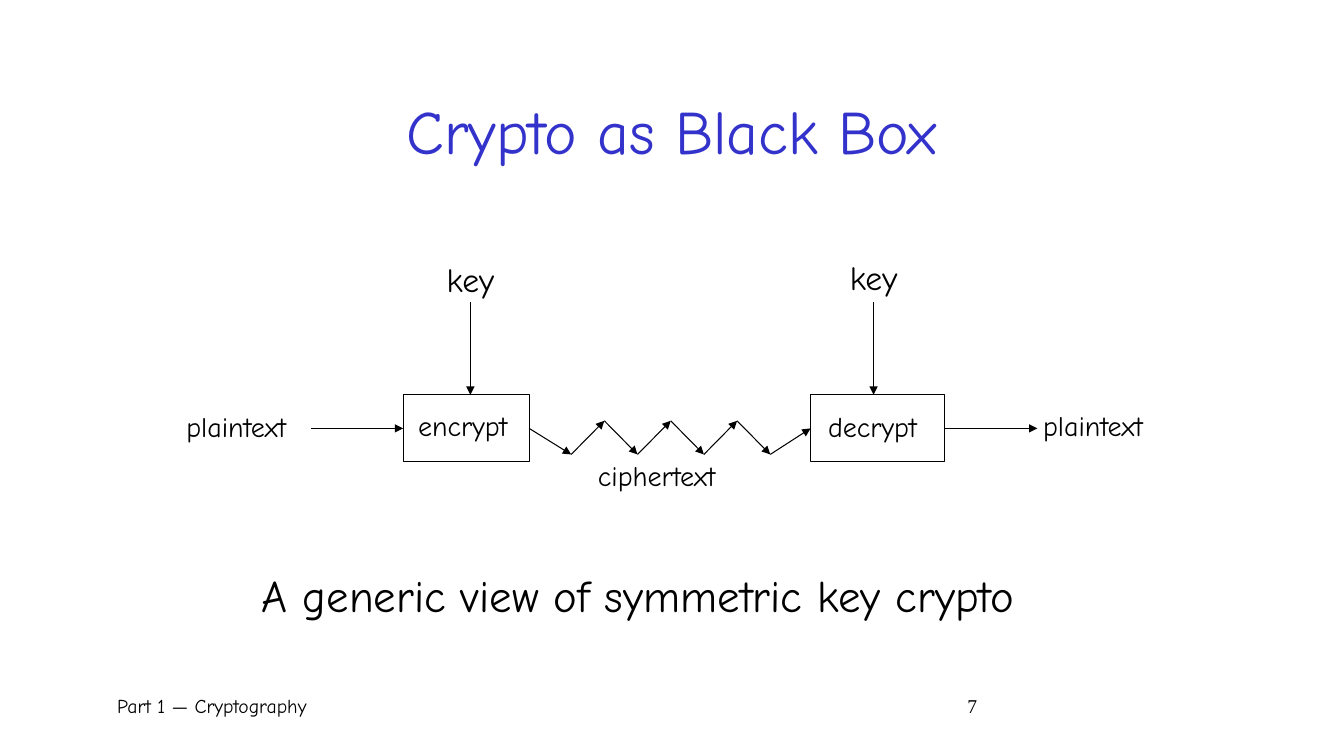
from dataclasses import dataclass
from itertools import pairwise

from lxml import etree
from pptx import Presentation, util as u
from pptx.dml.color import RGBColor
from pptx.enum import shapes, text
from pptx.oxml.ns import qn


@dataclass(frozen=True)
class Theme:
    font: str = "Comic Neue"
    number_font: str = "Times New Roman"
    ink: RGBColor = RGBColor(0, 0, 0)
    heading: RGBColor = RGBColor(0x33, 0x33, 0xCC)
    title: int = 44
    caption: int = 32
    key: int = 24
    label: int = 20
    footer: int = 14
    line: float = 0.75


THEME = Theme()
CELL = u.Inches(1) // 12  # the slide is a grid of 160 columns and 90 rows


def cells(*counts):
    return [u.Emu(round(count * CELL)) for count in counts]


def style_run(run, size, color=THEME.ink, font=THEME.font):
    formats = {"name": font, "size": u.Pt(size)}
    for attribute, value in formats.items():
        setattr(run.font, attribute, value)
    run.font.color.rgb = color


def add_label(slide, area, wording, size, color=THEME.ink,
              align=text.PP_ALIGN.LEFT, anchor=text.MSO_ANCHOR.TOP):
    frame = slide.shapes.add_textbox(*cells(*area)).text_frame
    formats = {"word_wrap": True, "vertical_anchor": anchor}
    for attribute, value in formats.items():
        setattr(frame, attribute, value)
    line = frame.paragraphs[0]
    line.alignment = align
    run = line.add_run()
    run.text = wording
    style_run(run, size, color)
    return line


def add_black_box(slide, area):
    box = slide.shapes.add_shape(shapes.MSO_SHAPE.RECTANGLE, *cells(*area))
    box.shadow.inherit = False
    box.fill.background()
    box.line.color.rgb = THEME.ink
    box.line.width = u.Pt(THEME.line)


def add_arrow(slide, start, end):
    arrow = slide.shapes.add_connector(
        shapes.MSO_CONNECTOR.STRAIGHT, *cells(*start, *end))
    arrow.line.color.rgb = THEME.ink
    arrow.line.width = u.Pt(THEME.line)
    etree.SubElement(arrow.line._get_or_add_ln(), qn("a:tailEnd"), type="triangle")
    etree.SubElement(arrow._element.spPr, qn("a:effectLst"))


def add_footer(slide, area, wording, number, number_column):
    line = add_label(slide, area, wording + "\t", THEME.footer)
    stops = etree.SubElement(line._p.get_or_add_pPr(), qn("a:tabLst"))
    etree.SubElement(stops, qn("a:tab"), pos=str(number_column * CELL), algn="l")
    run = line.add_run()
    run.text = number
    style_run(run, THEME.footer, font=THEME.number_font)


def main():
    deck = Presentation()
    deck.slide_width, deck.slide_height = cells(160, 90)
    slide = deck.slides.add_slide(deck.slide_layouts[6])

    # Title, caption and footer
    add_label(slide, (12, 8, 136, 15), "Crypto as Black Box", THEME.title,
              THEME.heading, text.PP_ALIGN.CENTER, text.MSO_ANCHOR.MIDDLE)
    add_label(slide, (30, 67, 102.5, 7.7),
              "A generic view of symmetric key crypto", THEME.caption)
    add_footer(slide, (12, 82, 137.3, 6), " Part 1 — Cryptography", "7", 102)

    # Black boxes
    flow_row, box_top = 51, 47
    encrypt_left, encrypt_right = 48, 63
    decrypt_left, decrypt_right = 96.5, 112.5
    for left, right in ((encrypt_left, encrypt_right),
                        (decrypt_left, decrypt_right)):
        add_black_box(slide, (left, box_top, right - left, 8))

    # Labels
    for left, top, width, wording, size in (
            (21, 48.1, 17, "plaintext", THEME.label),
            (48.6, 48, 14.5, "encrypt", THEME.label),
            (70, 54, 20, "ciphertext", THEME.label),
            (97.4, 48.1, 14.8, "decrypt", THEME.label),
            (123, 48, 17, "plaintext", THEME.label),
            (52, 30.2, 11, "key", THEME.key),
            (100, 30, 11, "key", THEME.key)):
        add_label(slide, (left, top, width, size * 0.26), wording, size)

    # Keys and plaintext enter, plaintext leaves
    for key_column in (56, 104):
        add_arrow(slide, (key_column, 36), (key_column, box_top))
    for start, end in ((37, encrypt_left), (decrypt_right, 123.5)):
        add_arrow(slide, (start, flow_row), (end, flow_row))

    # Ciphertext zigzag from encrypt to decrypt
    zigzag = [(68 + 3.95 * turn, 50.1 if turn % 2 else 54.1) for turn in range(7)]
    route = [(encrypt_right, flow_row), *zigzag, (decrypt_left, flow_row)]
    for start, end in pairwise(route):
        add_arrow(slide, start, end)

    deck.save("out.pptx")


main()
